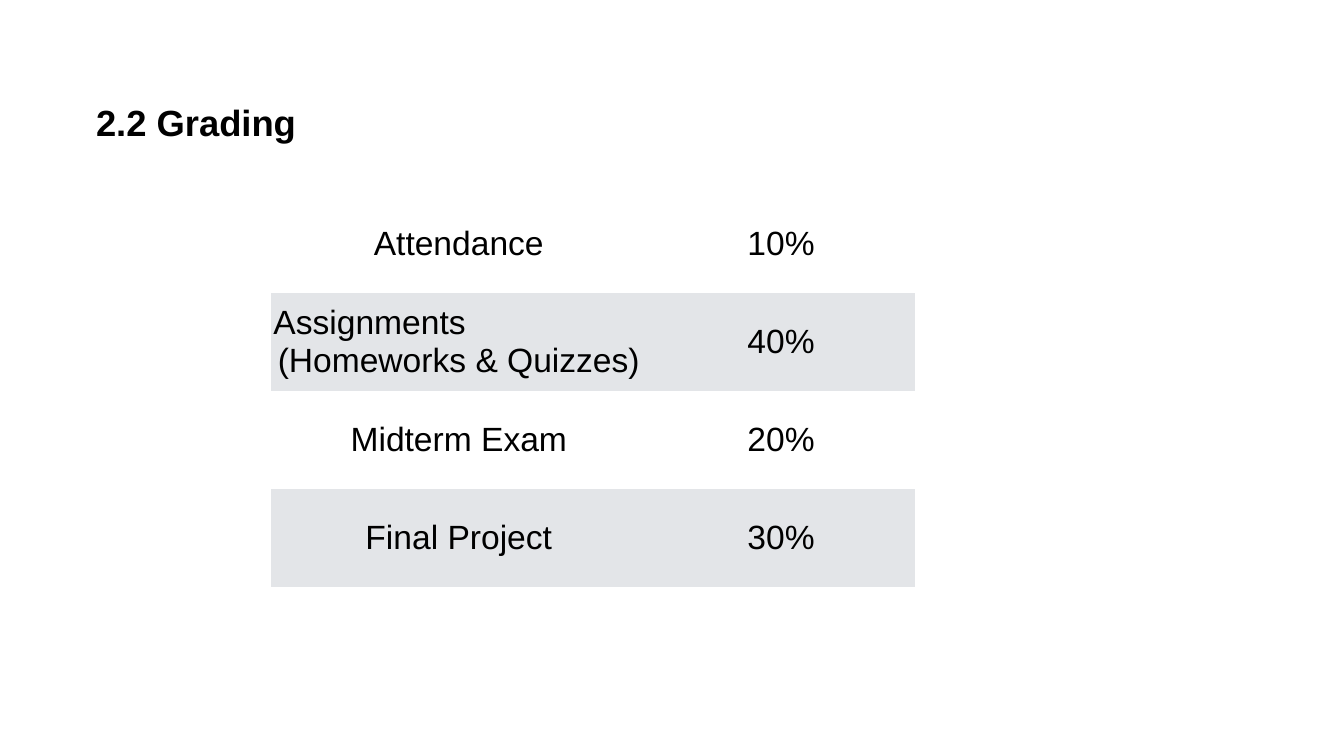
import pptx
import pptx.dml.color
import pptx.enum.text
import pptx.util
import lxml.etree
from pptx.oxml.ns import qn

Pt = pptx.util.Pt
Align = pptx.enum.text.PP_ALIGN
COLORS = {"text": "000000", "plain": "FFFFFF", "band": "E3E5E8"}
FONT = "Arial"
INSET = 4
NO_STYLE = "{2D5ABB26-0587-4C30-8999-92F81FD0307C}"
COLUMN_WIDTHS = [537.84, 383.04]
ROW_HEIGHT = 140.22
GRADES = [
    ([("Attendance", Align.CENTER)], "10%"),
    ([("Assignments", Align.LEFT), ("(Homeworks & Quizzes)", Align.CENTER)], "40%"),
    ([("Midterm Exam", Align.CENTER)], "20%"),
    ([("Final Project", Align.CENTER)], "30%"),
]


def rgb(name):
    """Return the named colour."""
    return pptx.dml.color.RGBColor.from_string(COLORS[name])


def write(para, text, size=48, bold=False, align=Align.CENTER, before=0):
    """Put formatted text into a paragraph."""
    para.alignment = align
    para.space_before = Pt(before)
    span = para.add_run()
    span.text = text
    span.font.name = FONT
    span.font.size = Pt(size)
    span.font.bold = bold
    span.font.color.rgb = rgb("text")


def set_margins(holder):
    """Give a cell or text frame equal insets."""
    for side in ("left", "top", "right", "bottom"):
        setattr(holder, f"margin_{side}", Pt(INSET))


def add_heading(page, text):
    """Fill the body placeholder with an unbulleted heading."""
    box = page.placeholders[1]
    box.left, box.top, box.width, box.height = Pt(133.2), Pt(139.7), Pt(1653.8), Pt(800)
    frame = box.text_frame
    frame.word_wrap = True
    frame.auto_size = pptx.enum.text.MSO_AUTO_SIZE.NONE
    frame.vertical_anchor = pptx.enum.text.MSO_ANCHOR.TOP
    set_margins(frame)
    para = frame.paragraphs[0]
    write(para, text, size=52, bold=True, align=Align.LEFT, before=59)
    properties = para._p.get_or_add_pPr()
    properties.set("marL", "0")
    properties.set("indent", "0")
    lxml.etree.SubElement(properties, qn("a:buNone"))


def fill_cell(cell, lines, color):
    """Write aligned lines into a coloured cell."""
    cell.fill.solid()
    cell.fill.fore_color.rgb = rgb(color)
    cell.vertical_anchor = pptx.enum.text.MSO_ANCHOR.MIDDLE
    set_margins(cell)
    frame = cell.text_frame
    for index, (text, align) in enumerate(lines):
        para = frame.add_paragraph() if index else frame.paragraphs[0]
        write(para, text, align=align)


def add_grades(page):
    """Add the table of grade shares."""
    frame = page.shapes.add_table(
        len(GRADES), len(COLUMN_WIDTHS), Pt(386.64), Pt(277.92),
        Pt(sum(COLUMN_WIDTHS)), Pt(ROW_HEIGHT * len(GRADES)))
    table = frame.table
    table.first_row = table.horz_banding = False
    table._tbl.tblPr.find(qn("a:tableStyleId")).text = NO_STYLE
    for column, width in zip(table.columns, COLUMN_WIDTHS):
        column.width = Pt(width)
    for index, (lines, share) in enumerate(GRADES):
        table.rows[index].height = Pt(ROW_HEIGHT)
        color = "band" if index % 2 else "plain"
        fill_cell(table.cell(index, 0), lines, color)
        fill_cell(table.cell(index, 1), [(share, Align.CENTER)], color)


def main():
    """Build and save the grading slide."""
    deck = pptx.Presentation()
    deck.slide_width, deck.slide_height = Pt(1920.24), Pt(1080)
    page = deck.slides.add_slide(deck.slide_layouts[1])
    title = page.shapes.title.element
    title.getparent().remove(title)
    add_heading(page, "2.2 Grading")
    add_grades(page)
    deck.save("out.pptx")


if __name__ == "__main__":
    main()
